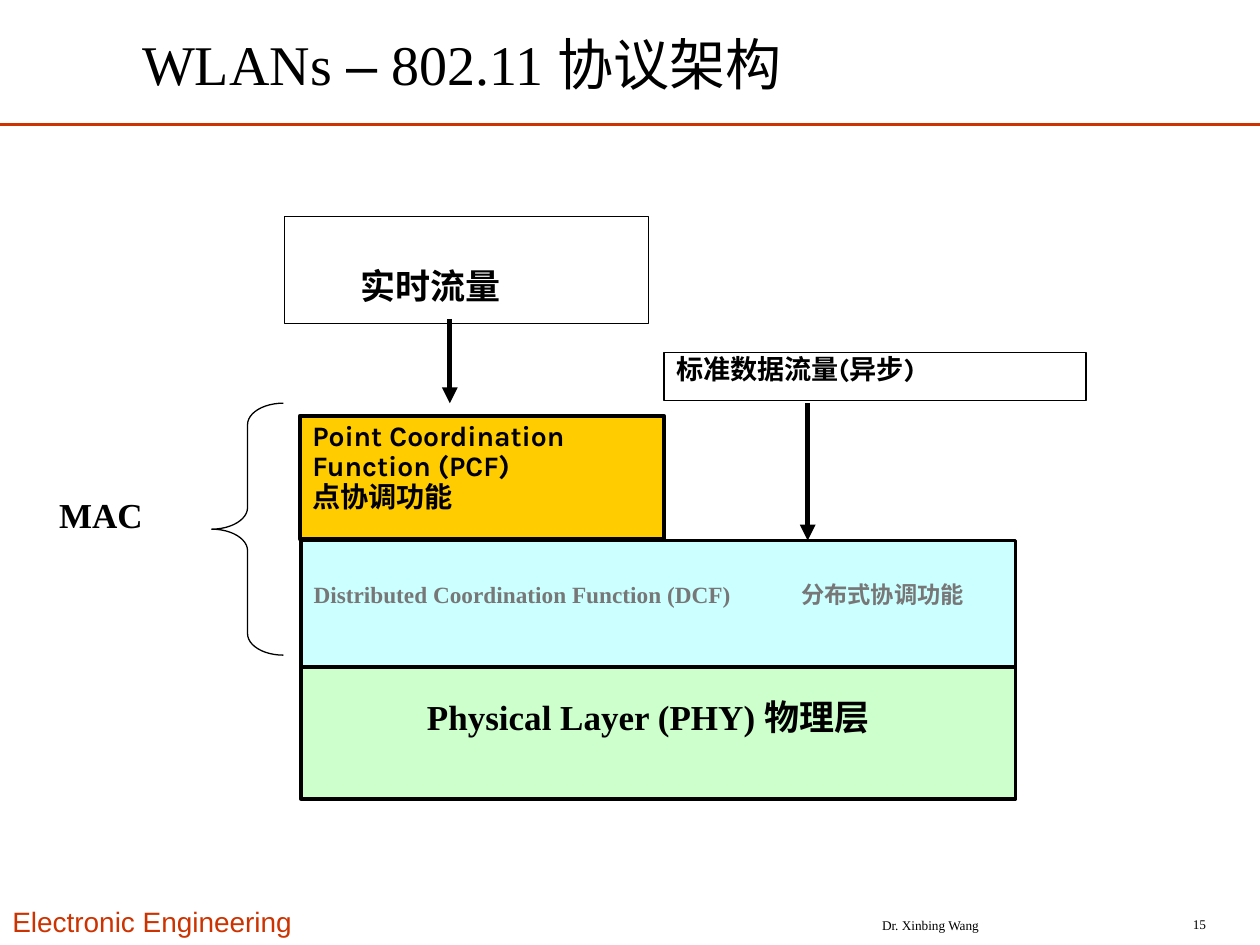
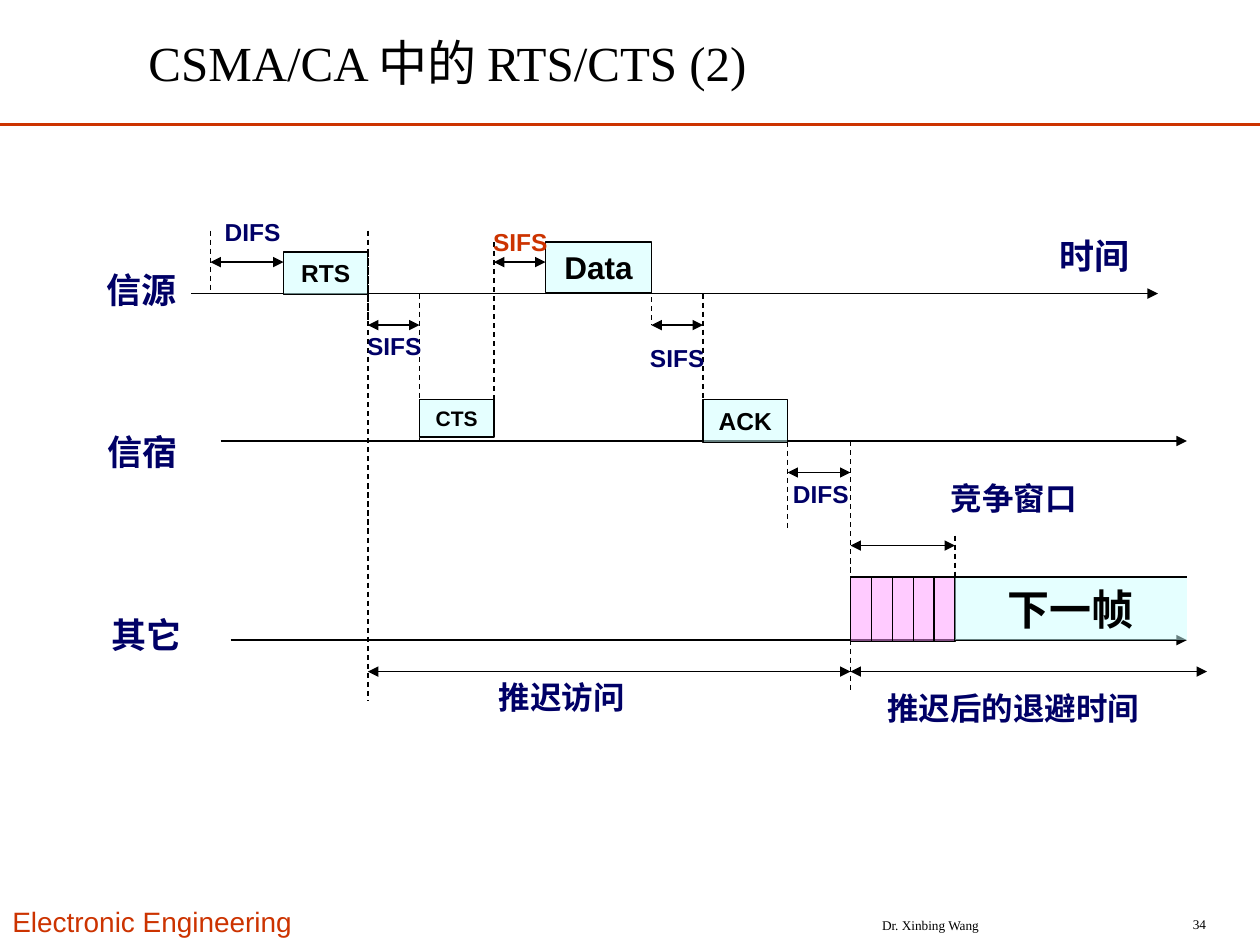
"""Builds two slides on the 802.11 protocol layers and the RTS/CTS exchange."""
from dataclasses import dataclass

from lxml import etree
from pptx import Presentation
from pptx.dml.color import RGBColor
from pptx.enum.dml import MSO_LINE
from pptx.enum.shapes import MSO_CONNECTOR, MSO_SHAPE
from pptx.enum.text import MSO_ANCHOR, PP_ALIGN
from pptx.oxml.ns import qn
from pptx.util import Inches, Pt

STRAIGHT = MSO_CONNECTOR.STRAIGHT
RECTANGLE, LEFT_BRACE = MSO_SHAPE.RECTANGLE, MSO_SHAPE.LEFT_BRACE
LEFT, CENTER, RIGHT = PP_ALIGN.LEFT, PP_ALIGN.CENTER, PP_ALIGN.RIGHT
TOP, MIDDLE = MSO_ANCHOR.TOP, MSO_ANCHOR.MIDDLE
DASH = MSO_LINE.DASH


@dataclass(frozen=True)
class Theme:
    """Colours, fonts, type sizes and line widths of the deck."""
    black: str = "000000"
    white: str = "FFFFFF"
    accent: str = "CC3300"
    navy: str = "000066"
    grey: str = "777777"
    amber: str = "FFCC00"
    cyan: str = "CCFFFF"
    green: str = "CCFFCC"
    pink: str = "FF99FF"
    serif: str = "Times New Roman"
    sans: str = "Arial"
    display: str = "Karla"
    footer: float = 7.6
    caption: float = 12
    layer: float = 13.3
    label: float = 14
    traffic: float = 15.5
    brand: float = 16
    function: float = 16.1
    heading: float = 18
    row: float = 20
    frame: float = 24
    long_title: float = 28
    title: float = 32
    thin: float = 0.75
    rule: float = 1.5
    border: float = 2.25
    heavy: float = 3


class SlideBuilder:
    """Holds the theme and the current slide and draws each kind of element."""

    def __init__(self, deck, theme):
        """Keep the deck and the theme."""
        self.deck = deck
        self.theme = theme
        self.page = None

    def new_page(self, number, title_spans, title_size, title_box):
        """Start a slide with its title, rule and footers."""
        theme = self.theme
        self.page = self.deck.slides.add_slide(self.deck.slide_layouts[6])
        self.line((0, 0.99), (10, 0.99), theme.rule, theme.accent)
        self.text((0, 7.13, 2.55, 0.37), "Electronic Engineering", theme.brand, theme.accent, bold=False)
        for area, words, align in (((6.17, 7.22, 2.43, 0.25), "Dr. Xinbing Wang", CENTER),
                                   ((8.84, 7.21, 0.83, 0.25), str(number), RIGHT)):
            self.text(area, words, theme.footer, font=theme.serif, bold=False, align=align, anchor=MIDDLE)
        title = self.text(title_box, "", title_size, anchor=MIDDLE)
        for words in title_spans:
            span = title.text_frame.paragraphs[0].add_run()
            span.text = words
            self.style(span.font, title_size, theme.black, theme.sans if words == "–" else theme.serif, False)

    def style(self, font, size, color, name, bold):
        """Apply size, colour, typeface and weight to a font."""
        font.size = Pt(size)
        font.color.rgb = RGBColor.from_string(color)
        font.name = name
        font.bold = bold

    def fill_text(self, shape, words, size, color=None, font=None, bold=True, align=LEFT,
                  anchor=TOP, spacing=None, inset=(0.1, 0.05), tab=None):
        """Put formatted text into a shape."""
        frame = shape.text_frame
        frame.word_wrap = True
        frame.vertical_anchor = anchor
        frame.margin_left, frame.margin_top = (Inches(value) for value in inset)
        frame.text = words
        for para in frame.paragraphs:
            para.alignment = align
            if spacing:
                para.line_spacing = spacing
            if tab:
                stops = etree.SubElement(para._p.get_or_add_pPr(), qn("a:tabLst"))
                etree.SubElement(stops, qn("a:tab"), pos=str(Inches(tab)), algn="l")
            for span in para.runs:
                self.style(span.font, size, color or self.theme.black, font or self.theme.sans, bold)

    def text(self, area, words, size, color=None, **options):
        """Add a text box."""
        box = self.page.shapes.add_textbox(*map(Inches, area))
        self.fill_text(box, words, size, color, **options)
        return box

    def shape(self, area, fill=None, width=None, alpha=None, kind=RECTANGLE):
        """Add a preset shape with an optional fill, outline and opacity."""
        shape = self.page.shapes.add_shape(kind, *map(Inches, area))
        shape.shadow.inherit = False
        if fill:
            shape.fill.solid()
            shape.fill.fore_color.rgb = RGBColor.from_string(fill)
        else:
            shape.fill.background()
        if alpha:
            color = shape._element.spPr.find(qn("a:solidFill"))[0]
            etree.SubElement(color, qn("a:alpha"), val=str(alpha * 1000))
        if width:
            shape.line.width = Pt(width)
            shape.line.color.rgb = RGBColor.from_string(self.theme.black)
        else:
            shape.line.fill.background()
        return shape

    def line(self, start, end, width=None, color=None, dash=None, arrows=()):
        """Add a straight line with optional dashes and arrowheads."""
        line = self.page.shapes.add_connector(STRAIGHT, *map(Inches, (*start, *end)))
        line.line.width = Pt(width or self.theme.thin)
        line.line.color.rgb = RGBColor.from_string(color or self.theme.black)
        if dash:
            line.line.dash_style = dash
        outline = line._element.spPr.find(qn("a:ln"))
        for tag in arrows:
            etree.SubElement(outline, qn(tag), type="triangle")
        etree.SubElement(line._element.spPr, qn("a:effectLst"))

    def arrow(self, start, end, width=None):
        """Add a line with an arrowhead at its end."""
        self.line(start, end, width, arrows=("a:tailEnd",))

    def span_arrow(self, left, right, y):
        """Add a horizontal arrow with heads at both ends."""
        self.line((left, y), (right, y), arrows=("a:headEnd", "a:tailEnd"))

    def marker(self, x, top, bottom):
        """Add a dashed vertical time marker."""
        self.line((x, top), (x, bottom), dash=DASH)


def build_architecture(builder):
    """Draw the protocol layers and the traffic that enters them."""
    theme = builder.theme
    builder.new_page(15, ("WLANs ", "–", " 802.11 协议架构"), theme.title, (1.03, 0.13, 7.58, 0.74))
    builder.shape((2.39, 5.29, 5.67, 1.05), theme.green, theme.border)
    builder.shape((2.39, 4.29, 5.67, 1), theme.cyan, theme.border)
    builder.text((3.29, 5.47, 3.91, 0.6), "Physical Layer (PHY) 物理层", theme.row, font=theme.serif)
    builder.text((2.39, 4.56, 5.9, 0.57), "Distributed Coordination Function (DCF)\t分布式协调功能",
                 theme.layer, theme.grey, font=theme.serif, tab=3.87)

    point_function = builder.shape((2.38, 3.3, 2.89, 0.98), theme.amber, theme.border)
    builder.fill_text(point_function, "Point Coordination Function (PCF)\n点协调功能", theme.function,
                      font=theme.display, spacing=0.9)
    standard_traffic = builder.shape((5.27, 2.8, 3.35, 0.38), theme.white, theme.thin)
    builder.fill_text(standard_traffic, "标准数据流量(异步)", theme.traffic, font=theme.display, spacing=0.8)
    realtime_traffic = builder.shape((2.26, 1.72, 2.89, 0.85), theme.white, theme.thin)
    builder.fill_text(realtime_traffic, "实时流量", theme.row, font=theme.display, inset=(0.6, 0.38))

    builder.text((0.37, 3.87, 1.31, 0.69), "MAC", theme.row, font=theme.serif)
    builder.arrow((3.57, 2.53), (3.57, 3.2), theme.heavy)
    builder.arrow((6.41, 3.2), (6.41, 4.29), theme.heavy)
    brace = builder.shape((1.68, 3.2, 0.57, 2), width=theme.thin, kind=LEFT_BRACE)
    brace.adjustments[0] = 0.3


def build_exchange(builder):
    """Draw the timing of the RTS/CTS exchange."""
    theme = builder.theme
    builder.new_page(34, ("CSMA/CA 中的 RTS/CTS (2)",), theme.long_title, (1.08, 0.15, 6.63, 0.69))
    source_y, target_y, others_y, defer_y = 2.33, 3.5, 5.08, 5.33
    start, rts, rts_end, cts, cts_end = 1.67, 2.25, 2.92, 3.33, 3.92
    data, data_end, ack, ack_end = 4.33, 5.17, 5.58, 6.25
    window, next_frame, axis_end = 6.75, 7.58, 9.42

    for left, right, y in ((1.52, 9.19, source_y), (1.75, axis_end, target_y), (1.83, axis_end, others_y)):
        builder.arrow((left, y), (right, y))
    for x, top, bottom in ((start, 1.83, source_y), (rts_end, 1.83, 5.56), (rts_end, 2, 2.58),
                           (cts, source_y, target_y), (cts_end, 1.92, target_y), (data_end, 2, 2.58),
                           (ack, source_y, target_y), (ack_end, 3.29, 4.21),
                           (window, target_y, 5.5), (next_frame, 4.25, 4.67)):
        builder.marker(x, top, bottom)
    for left, right, y in ((start, rts, 2.08), (rts_end, cts, 2.58), (cts_end, data, 2.08),
                           (data_end, ack, 2.58), (ack_end, window, 3.75), (window, next_frame, 4.33),
                           (rts_end, window, defer_y), (window, 9.58, defer_y)):
        builder.span_arrow(left, right, y)

    slot_count = 5
    slot_width = (next_frame - window) / slot_count
    for slot in range(slot_count):
        builder.shape((window + slot * slot_width, 4.58, slot_width, 0.51), theme.pink, theme.thin, 50)
    for left, right, top, height, words, size, outline in (
            (next_frame, axis_end, 4.58, 0.5, "下一帧", theme.frame, None),
            (rts, rts_end, 2, 0.34, "RTS", theme.label, theme.thin),
            (cts, cts_end, 3.17, 0.3, "CTS", theme.caption, theme.thin),
            (data, data_end, 1.92, 0.4, "Data", theme.heading, theme.thin),
            (ack, ack_end, 3.17, 0.34, "ACK", theme.label, theme.thin)):
        packet = builder.shape((left, top, right - left, height), theme.cyan, outline, 50)
        builder.fill_text(packet, words, size, align=CENTER)
    builder.line((next_frame, 4.58), (axis_end, 4.58))

    for left, top, width, words, color in ((start, 1.67, 0.67, "DIFS", theme.navy),
                                           (2.67, 2.58, 0.92, "SIFS", theme.navy),
                                           (3.67, 1.75, 0.92, "SIFS", theme.accent),
                                           (5, 2.67, 0.75, "SIFS", theme.navy),
                                           (6.14, 3.75, 0.75, "DIFS", theme.navy)):
        builder.text((left, top, width, 0.34), words, theme.label, color, align=CENTER)
    for left, top, width, words, font in ((6.92, 3.75, 2.25, "竞争窗口", theme.sans),
                                          (3.17, 5.33, 2.58, "推迟访问", theme.sans),
                                          (6.75, 5.42, 2.58, "推迟后的退避时间", theme.serif)):
        builder.text((left, top, width, 0.4), words, theme.heading, theme.navy, font=font, align=CENTER)
    for left, top, width, words, align in ((0.5, 2.08, 1.25, "信源", CENTER), (0.15, 3.37, 1.96, "信宿", CENTER),
                                           (0.79, 4.82, 1.25, "其它", LEFT), (8.31, 1.81, 1.44, "时间", LEFT)):
        builder.text((left, top, width, 0.44), words, theme.row, theme.navy, align=align)


def main():
    """Build and save the deck."""
    deck = Presentation()
    deck.slide_width, deck.slide_height = Inches(10), Inches(7.5)
    builder = SlideBuilder(deck, Theme())
    build_architecture(builder)
    build_exchange(builder)
    deck.save("out.pptx")


if __name__ == "__main__":
    main()
